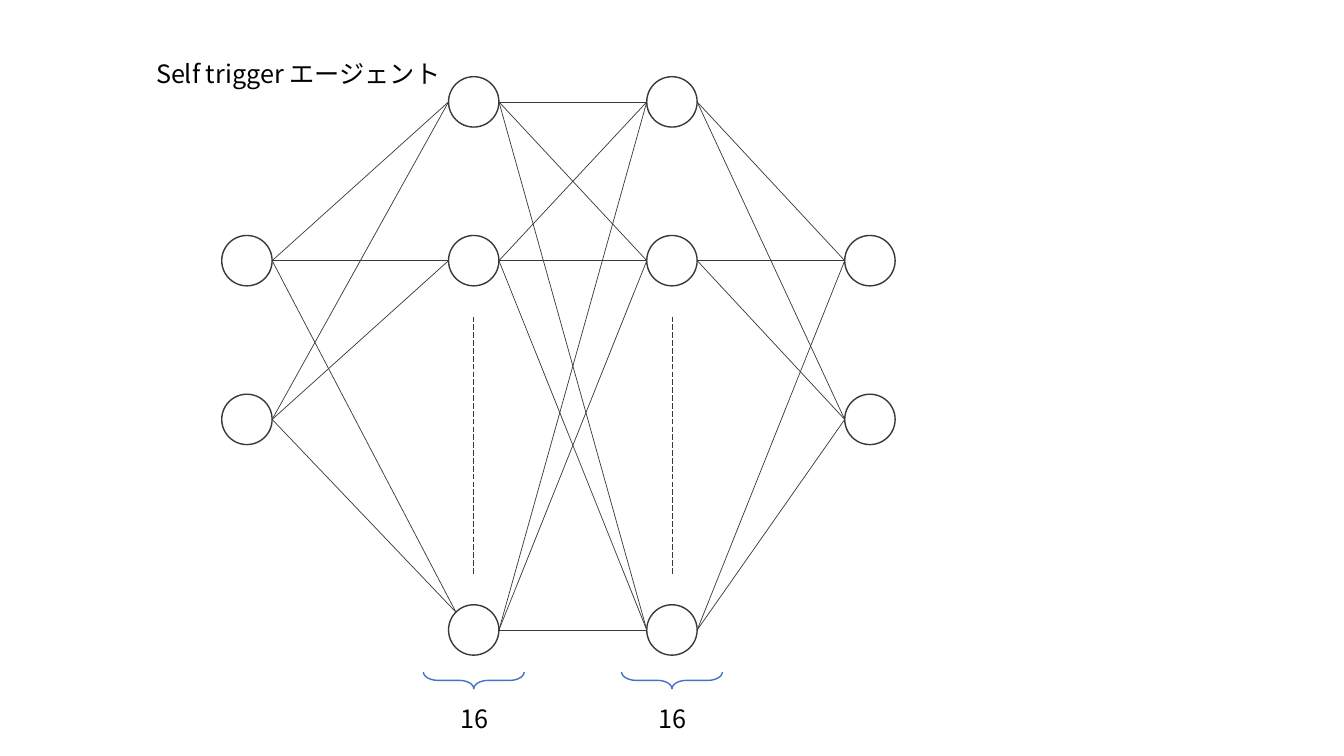
from dataclasses import dataclass
from itertools import product
from math import sqrt

from lxml import etree
from pptx import Presentation
from pptx.dml.color import RGBColor
from pptx.enum.dml import MSO_LINE
from pptx.enum.shapes import MSO_CONNECTOR, MSO_SHAPE
from pptx.enum.text import MSO_AUTO_SIZE
from pptx.oxml.ns import qn
from pptx.util import Pt

OVAL = MSO_SHAPE.OVAL
RIGHT_BRACE = MSO_SHAPE.RIGHT_BRACE
STRAIGHT = MSO_CONNECTOR.STRAIGHT
LONG_DASH = MSO_LINE.LONG_DASH
GROW = MSO_AUTO_SIZE.SHAPE_TO_FIT_TEXT

COLORS = {"neuron": "3B3838", "brace": "4472C4", "text": "000000"}
FONT = "Noto Sans CJK JP"
RADIUS = 18
DIAGONAL = RADIUS / sqrt(2)

# Neuron rows, as centre heights
FIRST, SECOND, THIRD, LAST = 72.8, 186.2, 299.6, 450


@dataclass(frozen=True)
class Layer:
    center: float
    rows: tuple[float, ...]
    size: str = ""


INPUT = Layer(176.4, (SECOND, THIRD))
HIDDEN_1 = Layer(338.4, (FIRST, SECOND, LAST), "16")
HIDDEN_2 = Layer(480, (FIRST, SECOND, LAST), "16")
OUTPUT = Layer(621.4, (SECOND, THIRD))
LAYERS = (INPUT, HIDDEN_1, HIDDEN_2, OUTPUT)

presentation = Presentation()
presentation.slide_width = Pt(960)
presentation.slide_height = Pt(540)
slide = presentation.slides.add_slide(presentation.slide_layouts[6])
shapes = slide.shapes


def add_outline(kind: int, left: float, top: float, width: float, height: float, color: str):
    outline = shapes.add_shape(kind, Pt(left), Pt(top), Pt(width), Pt(height))
    outline.shadow.inherit = False
    outline.fill.background()
    outline.line.color.rgb = RGBColor.from_string(COLORS[color])
    outline.line.width = Pt(1)
    return outline


def add_link(x1: float, y1: float, x2: float, y2: float, dashed: bool = False) -> None:
    link = shapes.add_connector(STRAIGHT, Pt(x1), Pt(y1), Pt(x2), Pt(y2))
    link.line.color.rgb = RGBColor.from_string(COLORS["neuron"])
    link.line.width = Pt(0.5)
    if dashed:
        link.line.dash_style = LONG_DASH
    etree.SubElement(link._element.spPr, qn("a:effectLst"))


def add_label(text: str, left: float, top: float, width: float, wrap: bool) -> None:
    label = shapes.add_textbox(Pt(left), Pt(top), Pt(width), Pt(29))
    frame = label.text_frame
    frame.word_wrap = wrap
    frame.auto_size = GROW
    frame.text = text
    font = frame.paragraphs[0].runs[0].font
    font.name = FONT
    font.size = Pt(18)
    font.color.rgb = RGBColor.from_string(COLORS["text"])
    etree.SubElement(font._element, qn("a:ea"), typeface=FONT)


def add_layer(layer: Layer) -> None:
    for row in layer.rows:
        add_outline(OVAL, layer.center - RADIUS, row - RADIUS, 2 * RADIUS, 2 * RADIUS, "neuron")
    if layer.size:
        # Omitted neurons, brace and layer size
        add_link(layer.center, 226.1, layer.center, 409.7, dashed=True)
        brace = add_outline(RIGHT_BRACE, layer.center - 6, 450, 12, 72, "brace")
        brace.rotation = 90
        brace.adjustments[0] = 0.86
        add_label(layer.size, layer.center - 16.6, 498.6, 34.6, wrap=False)


def link_layers(source: Layer, target: Layer) -> None:
    for start, end in product(source.rows, target.rows):
        # Input links meet the last neuron at its upper left
        at_corner = source is INPUT and end == LAST
        inset = DIAGONAL if at_corner else RADIUS
        rise = DIAGONAL if at_corner else 0
        add_link(source.center + RADIUS, start, target.center - inset, end - rise)


# Neurons
for layer in LAYERS:
    add_layer(layer)

# Links between neighbouring layers
for source, target in zip(LAYERS, LAYERS[1:]):
    link_layers(source, target)

# Title
add_label("Self trigger エージェント", 104.4, 38.2, 221, wrap=True)

presentation.save("out.pptx")
